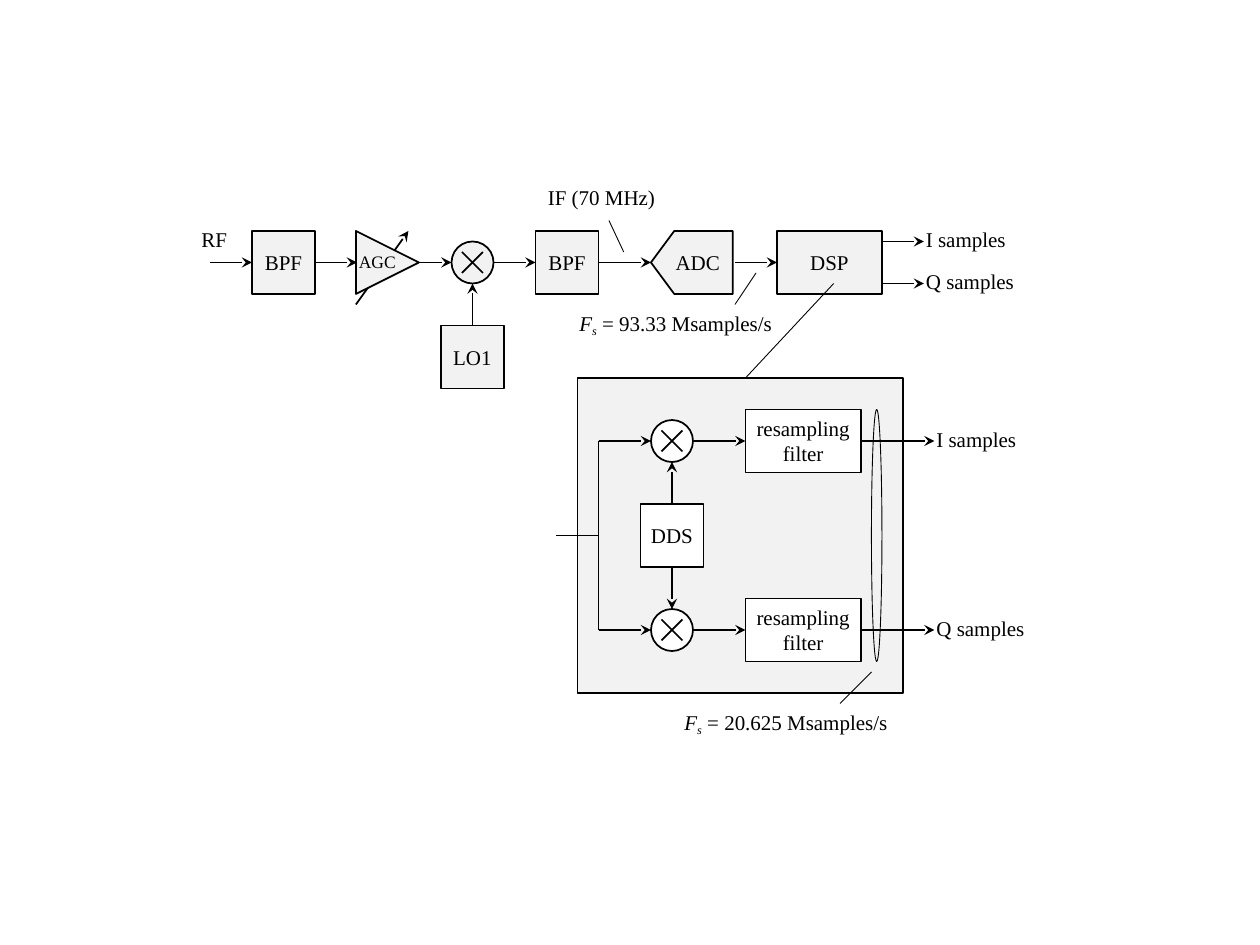
from dataclasses import dataclass

from lxml.etree import SubElement
from pptx import Presentation
from pptx.dml.color import RGBColor
from pptx.enum.shapes import MSO_CONNECTOR as Link, MSO_SHAPE as Shape
from pptx.enum.text import MSO_ANCHOR as Anchor, MSO_AUTO_SIZE as AutoSize, PP_ALIGN as Align
from pptx.oxml.ns import qn
from pptx.util import Inches, Pt

CELLS_PER_INCH = 12
TOP, LEFT, BOTTOM, RIGHT = range(4)
BLOCK = 6  # side of a standard block, in cells


@dataclass(frozen=True)
class Theme:
    font: str = "Times New Roman"
    ink: RGBColor = RGBColor(0, 0, 0)
    grey: RGBColor = RGBColor(0xF2, 0xF2, 0xF2)
    white: RGBColor = RGBColor(0xFF, 0xFF, 0xFF)
    text: float = 12
    small: float = 10
    line: float = 1
    thin: float = 0.5


THEME = Theme()


def cells(*lengths):
    return [Inches(length / CELLS_PER_INCH) for length in lengths]


def set_font(para, size):
    para.font.name, para.font.size = THEME.font, Pt(size)
    para.font.color.rgb = THEME.ink


@dataclass
class Region:
    """Drawing area whose grid starts at its own left and top cell."""
    shapes: object
    left: float
    top: float

    def place(self, x, y):
        return cells(self.left + x, self.top + y)

    def group(self):
        return Region(self.shapes.add_group_shape().shapes, self.left, self.top)

    def block(self, x, y, text="", width=BLOCK, height=BLOCK, fill=THEME.grey,
              kind=Shape.RECTANGLE, weight=THEME.line):
        box = self.shapes.add_shape(kind, *self.place(x, y), *cells(width, height))
        box.shadow.inherit = False
        if fill is None:
            box.fill.background()
        else:
            box.fill.solid()
            box.fill.fore_color.rgb = fill
        box.line.color.rgb, box.line.width = THEME.ink, Pt(weight)
        if text:
            frame = box.text_frame
            frame.margin_left = frame.margin_right = 0
            frame.vertical_anchor = Anchor.MIDDLE
            frame.text = text
            for para in frame.paragraphs:
                para.alignment = Align.CENTER
                set_font(para, THEME.text)
        return box

    def line(self, x1, y1, x2, y2, weight=THEME.line, begin=None, end=None):
        link = self.shapes.add_connector(
            Link.STRAIGHT, *self.place(x1, y1), *self.place(x2, y2))
        link.line.color.rgb, link.line.width = THEME.ink, Pt(weight)
        SubElement(link.element.spPr, qn("a:effectLst"))
        if begin:
            link.begin_connect(*begin)
        if end:
            link.end_connect(*end)
        return link

    def arrow(self, *points, **joins):
        link = self.line(*points, **joins)
        SubElement(link.line._get_or_add_ln(), qn("a:tailEnd"), type="stealth")

    def callout(self, *points):
        self.line(*points, weight=THEME.thin)

    def label(self, x, y, width, text, size=THEME.text, height=3.6):
        box = self.shapes.add_textbox(*self.place(x, y), *cells(width, height))
        frame = box.text_frame
        frame.word_wrap = False
        frame.auto_size = AutoSize.SHAPE_TO_FIT_TEXT
        para = frame.paragraphs[0]
        para.text = text
        set_font(para, size)
        return para

    def sample_rate(self, x, y, width, rate):
        para = self.label(x, y, width, "F")
        subscript = para.add_run()
        subscript.text = "s"
        subscript._r.get_or_add_rPr().set("baseline", "-19000")
        for span in para.runs:
            span.font.italic = True
        para.add_run().text = f" = {rate} Msamples/s"

    def mixer(self, x, y, fill):
        """Circle with a cross, centred on x, y."""
        group = self.group()
        group.block(x - 2, y - 2, width=4, height=4, fill=fill, kind=Shape.OVAL)
        for slope in (1, -1):
            group.line(x - 1, y - slope, x + 1, y + slope)

    def amplifier(self, x, y):
        """Triangle with a gain-control arrow behind it."""
        group = self.group()
        group.arrow(x, y + 7, x + 5, y)
        group.block(x, y, kind=Shape.ISOSCELES_TRIANGLE).rotation = 90
        group.label(x - 0.9, y + 1.3, 6, "AGC", THEME.small, 3.2)


def draw_receiver(area):
    axis = BLOCK / 2
    # Blocks along the signal axis
    rf_filter = area.block(4, 0, "BPF")
    if_filter = area.block(31, 0, "BPF")
    adc = area.block(42, 0, "ADC", width=7.8, kind=Shape.PENTAGON)
    adc.adjustments[0] = 0.37
    adc.element.spPr.find(qn("a:xfrm")).set("flipH", "1")
    dsp = area.block(54, 0, "DSP", width=10)
    oscillator = area.block(22, 9, "LO1")
    area.mixer(25, axis, THEME.grey)

    # Signal path
    for start, stop, joins in (
        (0, 4, {"end": (rf_filter, LEFT)}),
        (10, 14, {"begin": (rf_filter, RIGHT)}),
        (19, 23, {}),
        (27, 31, {"end": (if_filter, LEFT)}),
        (37, 42, {"begin": (if_filter, RIGHT)}),
        (50, 54, {"end": (dsp, LEFT)}),
    ):
        area.arrow(start, axis, stop, axis, **joins)
    area.arrow(25, 9, 25, 5, begin=(oscillator, TOP))
    area.amplifier(13.9, 0)

    # Outputs
    for y, name, width in ((1, "I", 10.1), (5, "Q", 10.9)):
        area.arrow(64, y, 68, y)
        area.label(67, y - 2, width, f"{name} samples")

    # Labels and their callouts
    area.label(-2, -1, 4.9, "RF")
    area.label(31, -5, 12.7, "IF (70 MHz)")
    area.callout(39.4, 2, 38, -1)
    area.sample_rate(34, 7, 21.1, "93.33")
    area.callout(50, 7, 52, 4)
    area.callout(51, 14, 59.4, 5)


def draw_dsp_detail(area):
    area.block(0, 0, width=31, height=30)
    # Input and oscillator
    area.line(-2, 15, 2, 15)
    area.line(2, 6, 2, 24)
    dds = area.block(6, 12, "DDS", fill=THEME.white)

    # One branch for each output
    for y, side, name, width in ((6, TOP, "I", 10.1), (24, BOTTOM, "Q", 10.9)):
        toward = 1 if side == TOP else -1
        area.mixer(9, y, THEME.white)
        resampler = area.block(16, y - 3, "resampling\nfilter", width=11, fill=THEME.white)
        area.arrow(2, y, 7, y)
        area.arrow(9, 15 - 3 * toward, 9, y + 2 * toward, begin=(dds, side))
        area.arrow(11, y, 16, y, end=(resampler, LEFT))
        area.arrow(27, y, 34, y, begin=(resampler, RIGHT))
        area.label(33, y - 2, width, f"{name} samples")

    # Output sample rate
    area.block(28, 3, width=1, height=24, fill=None, kind=Shape.OVAL, weight=THEME.thin)
    area.sample_rate(9, 31, 22.1, "20.625")
    area.callout(25, 31, 28, 28)


def main():
    deck = Presentation()
    deck.slide_width, deck.slide_height = Inches(10), Inches(7.5)
    page = deck.slides.add_slide(deck.slide_layouts[6])
    draw_dsp_detail(Region(page.shapes, 55, 36))
    draw_receiver(Region(page.shapes, 20, 22))
    deck.save("out.pptx")


if __name__ == "__main__":
    main()
